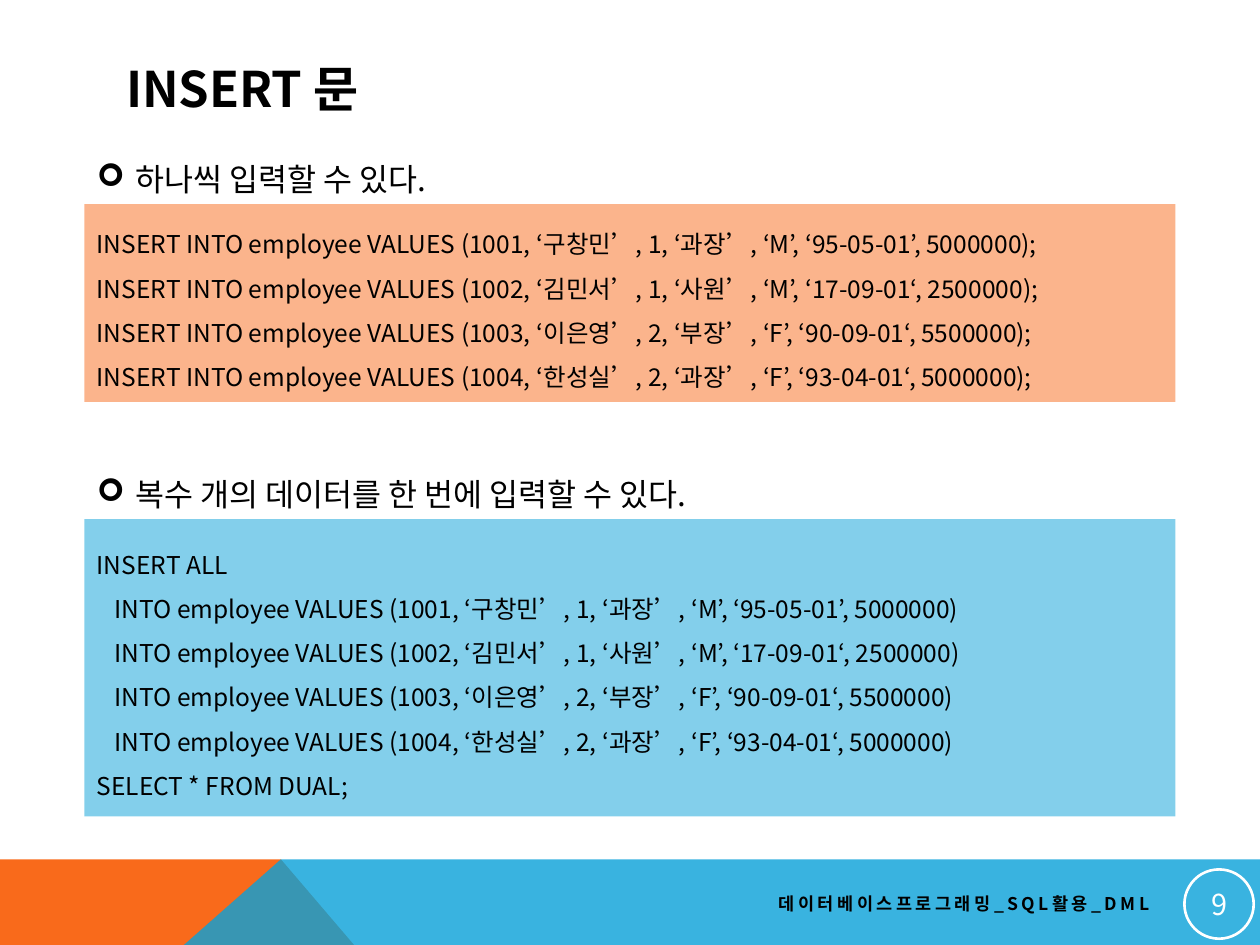
"""Build the INSERT statement slide with two SQL panels and a footer band."""
from dataclasses import dataclass

from pptx import Presentation
from pptx.dml.color import RGBColor
from pptx.enum.shapes import MSO_SHAPE
from pptx.enum.text import MSO_ANCHOR, MSO_AUTO_SIZE, PP_ALIGN
from pptx.oxml.ns import qn
from pptx.util import Inches, Pt
from lxml.etree import SubElement


@dataclass(frozen=True)
class Theme:
    font: str = "Noto Sans CJK KR"
    orange: str = "F96A1B"
    blue: str = "08A1D9"
    black: str = "000000"
    white: str = "FFFFFF"
    title: float = 28
    heading: float = 18
    code: float = 14
    footer: float = 10
    number: float = 16.5


theme = Theme()


def paint(shape, color, opacity=100):
    shape.shadow.inherit = False
    shape.line.fill.background()
    shape.fill.solid()
    shape.fill.fore_color.rgb = RGBColor.from_string(color)
    if opacity < 100:
        tint = shape.fill._xPr.find(qn("a:solidFill"))[0]
        SubElement(tint, qn("a:alpha"), val=str(opacity * 1000))


def write(shape, text, size, align=PP_ALIGN.LEFT, color=theme.black, bold=False):
    frame = shape.text_frame
    frame.text = text
    frame.vertical_anchor = MSO_ANCHOR.MIDDLE
    frame.word_wrap = True
    for para in frame.paragraphs:
        para.alignment = align
        for span in para.runs:
            span.font.name = theme.font
            span.font.size = Pt(size)
            span.font.bold = bold
            span.font.color.rgb = RGBColor.from_string(color)
            SubElement(span.font._element, qn("a:ea"), typeface=theme.font)
    return frame


deck = Presentation()
deck.slide_width, deck.slide_height = Inches(10), Inches(7.5)
page = deck.slides.add_slide(deck.slide_layouts[5])

band_top, peak = 6.82, 2.23
bands = [
    ([(0, band_top), (peak, band_top), (2.81, 7.5), (0, 7.5)], theme.orange, 100),
    ([(1.46, 7.5), (peak, band_top), (10, band_top), (10, 7.5)], theme.blue, 80),
]
for corners, color, opacity in bands:
    points = [(Inches(x), Inches(y)) for x, y in corners]
    builder = page.shapes.build_freeform(*points[0])
    builder.add_line_segments(points[1:], close=True)
    paint(builder.convert_to_shape(), color, opacity)

title = page.shapes.title
title.left, title.top, title.width, title.height = map(Inches, (0.9, 0.4, 8.22, 0.6))
write(title, "INSERT 문", theme.title, bold=True)

rows = [
    "INTO employee VALUES (1001, ‘구창민’, 1, ‘과장’, ‘M’, ‘95-05-01’, 5000000)",
    "INTO employee VALUES (1002, ‘김민서’, 1, ‘사원’, ‘M’, ‘17-09-01‘, 2500000)",
    "INTO employee VALUES (1003, ‘이은영’, 2, ‘부장’, ‘F’, ‘90-09-01‘, 5500000)",
    "INTO employee VALUES (1004, ‘한성실’, 2, ‘과장’, ‘F’, ‘93-04-01‘, 5000000)",
]
single_inserts = [f"INSERT {row};" for row in rows]
multiple_insert = ["INSERT ALL", *rows, "SELECT * FROM DUAL;"]
sections = [
    ("하나씩 입력할 수 있다.", 3.11, 1.62, 1.57, theme.orange, single_inserts),
    ("복수 개의 데이터를 한 번에 입력할 수 있다.", 5.49, 4.12, 2.36, theme.blue, multiple_insert),
]
for heading, width, top, height, color, lines in sections:
    box = page.shapes.add_textbox(Inches(0.67), Inches(top - 0.4), Inches(width), Inches(0.4))
    frame = write(box, heading, theme.heading)
    frame.vertical_anchor = MSO_ANCHOR.TOP
    frame.word_wrap = False
    frame.auto_size = MSO_AUTO_SIZE.SHAPE_TO_FIT_TEXT
    properties = frame.paragraphs[0]._p.get_or_add_pPr()
    properties.set("marL", str(Inches(0.31)))
    properties.set("indent", str(-Inches(0.31)))
    SubElement(properties, qn("a:buFont"), typeface="Wingdings")
    SubElement(properties, qn("a:buChar"), char="➢")

    panel = page.shapes.add_shape(
        MSO_SHAPE.RECTANGLE, Inches(0.67), Inches(top), Inches(8.66), Inches(height))
    paint(panel, color, 50)
    for para in write(panel, "\n".join(lines), theme.code).paragraphs:
        para.line_spacing = 1.5
        if para.text.startswith("INTO"):
            para._p.get_or_add_pPr().set("marL", str(Inches(0.14)))

footer = page.shapes.add_textbox(Inches(3.58), Inches(7.02), Inches(5.64), Inches(0.3))
frame = write(footer, "데이터베이스프로그래밍_SQL활용_DML", theme.footer, PP_ALIGN.RIGHT, bold=True)
frame.paragraphs[0].runs[0].font._element.set("spc", "200")

badge = page.shapes.add_shape(
    MSO_SHAPE.OVAL, Inches(9.4), Inches(6.9), Inches(0.55), Inches(0.55))
badge.shadow.inherit = False
badge.fill.background()
badge.line.color.rgb = RGBColor.from_string(theme.white)
badge.line.width = Pt(1.5)
frame = write(badge, "9", theme.number, PP_ALIGN.CENTER, theme.white)
frame.margin_left = frame.margin_right = Inches(0.01)
frame.margin_top = frame.margin_bottom = Inches(0.01)

deck.save("out.pptx")
